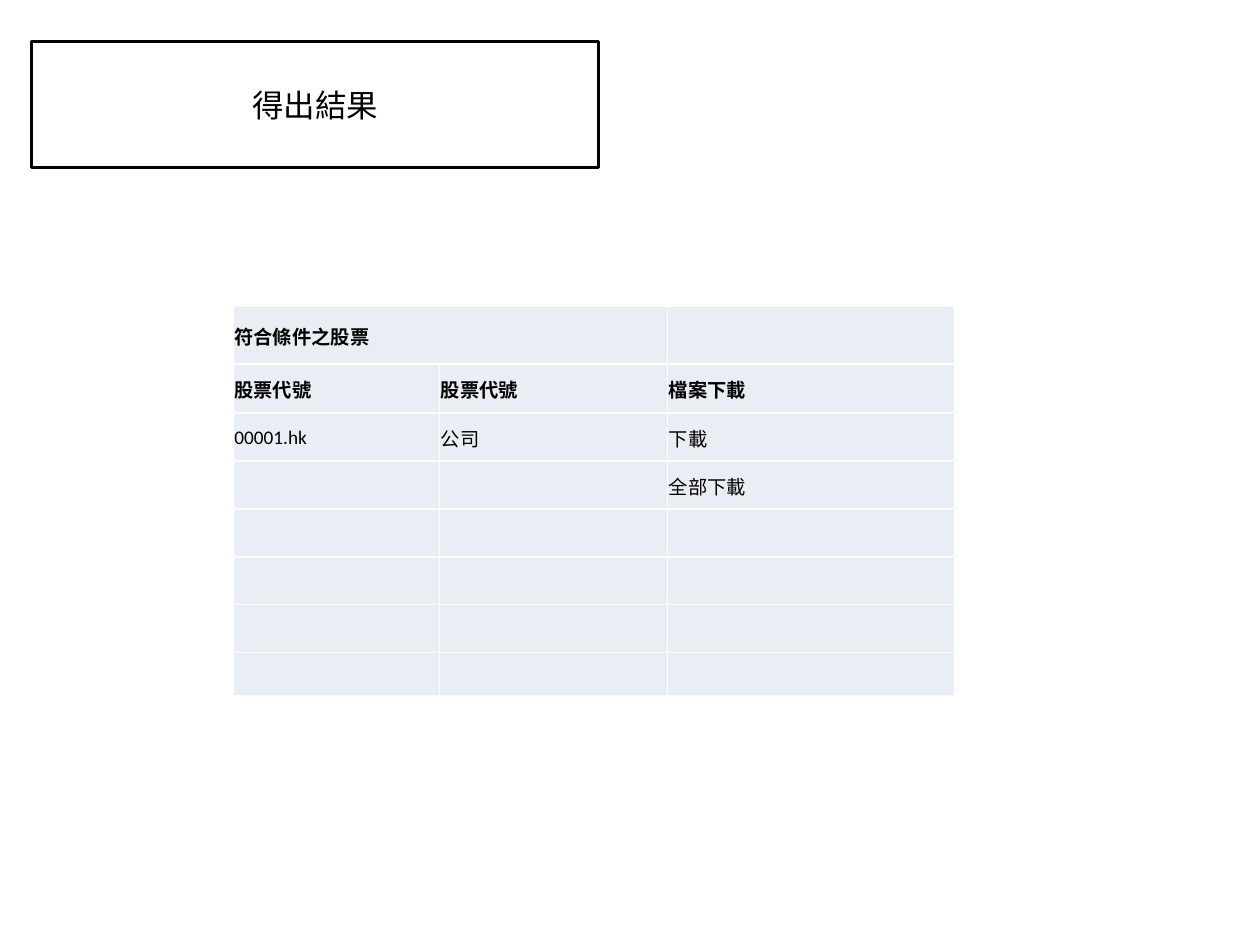
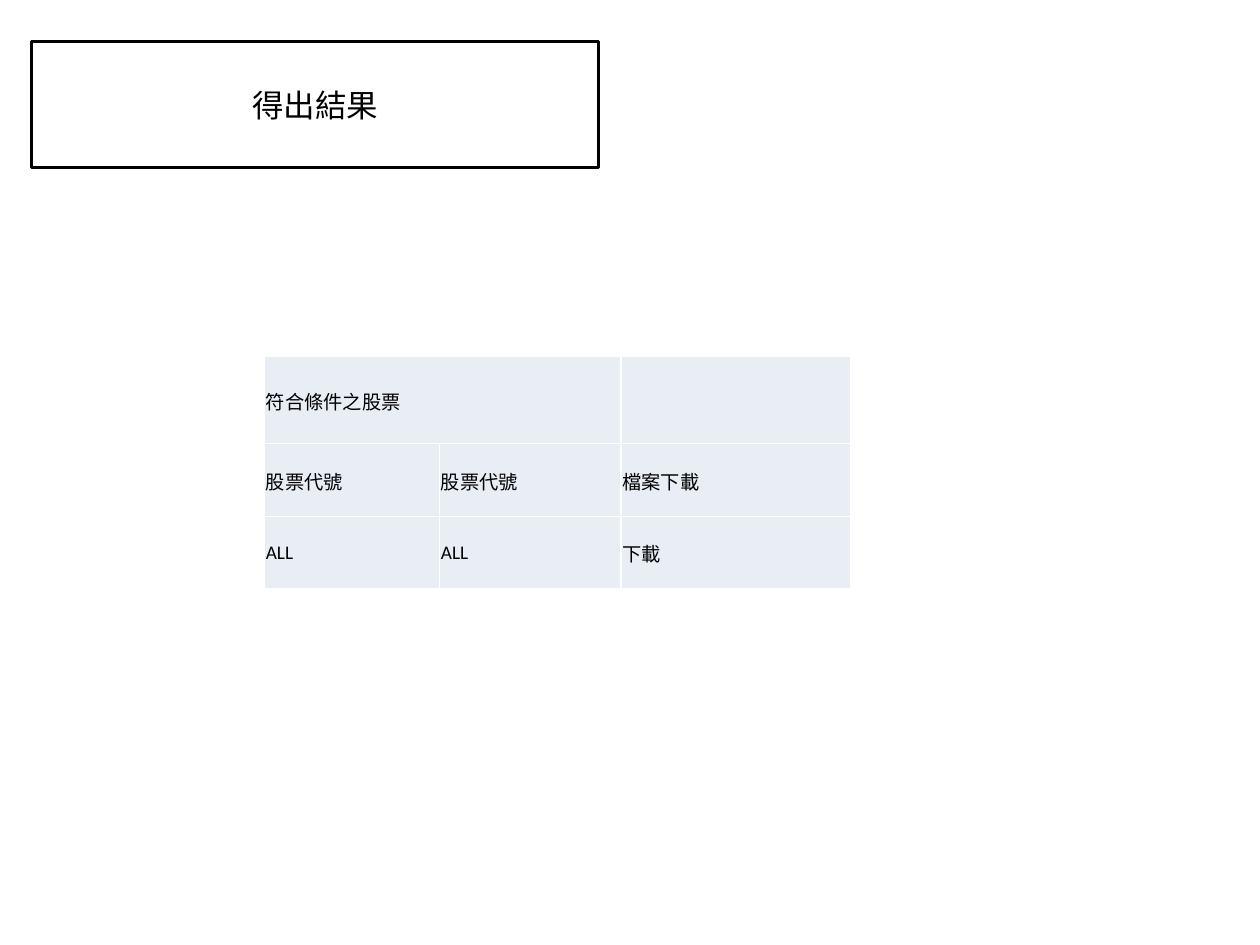
from lxml import etree
from pptx import Presentation
from pptx.dml.color import RGBColor
from pptx.enum.text import MSO_ANCHOR, PP_ALIGN
from pptx.oxml.ns import qn
from pptx.util import Inches, Pt

# Content
TITLE = "得出結果"
TABLE_HEADING = ["符合條件之股票", "", ""]
COLUMN_HEADINGS = ["股票代號", "股票代號", "檔案下載"]
RESULTS = [
    {
        "rows": [
            TABLE_HEADING,
            COLUMN_HEADINGS,
            ["00001.hk", "公司", "下載"],
            ["", "", "全部下載"],
            *[["", "", ""]] * 4,
        ],
        "bold_rows": 2,
        "corner": (1.85, 2.43),
        "widths": [1.64, 1.81, 2.28],
        "heights": [0.46, 0.39] + [0.38] * 5 + [0.34],
    },
    {
        "rows": [TABLE_HEADING, COLUMN_HEADINGS, ["ALL", "ALL", "下載"]],
        "bold_rows": 0,
        "corner": (2.1, 2.83),
        "widths": [1.39, 1.44, 1.82],
        "heights": [0.69, 0.58, 0.57],
    },
]

# Shared style
FONT = "Calibri"
BLACK = RGBColor(0x00, 0x00, 0x00)
WHITE = RGBColor(0xFF, 0xFF, 0xFF)
CELL_BLUE = RGBColor(0xE9, 0xED, 0xF4)
TITLE_BOX = (0.25, 0.33, 4.5, 1)
CELL_MARGIN = Inches(0.01)
TITLE_ONLY = 5


def style_text(frame, size, bold=False):
    for paragraph in frame.paragraphs:
        for run in paragraph.runs:
            run.font.name = FONT
            run.font.size = Pt(size)
            run.font.bold = bold
            run.font.color.rgb = BLACK


def add_title(slide):
    title = slide.shapes.title
    title.left, title.top, title.width, title.height = map(Inches, TITLE_BOX)
    title.line.color.rgb = BLACK
    title.line.width = Pt(2)
    frame = title.text_frame
    frame.text = TITLE
    frame.vertical_anchor = MSO_ANCHOR.MIDDLE
    frame.paragraphs[0].alignment = PP_ALIGN.CENTER
    style_text(frame, 18)


def add_borders(cell):
    # Borders must come before the fill in the cell properties
    properties = cell._tc.get_or_add_tcPr()
    for position, side in enumerate(("lnL", "lnR", "lnT", "lnB")):
        border = etree.Element(qn(f"a:{side}"), w=str(Pt(1)))
        fill = etree.SubElement(border, qn("a:solidFill"))
        etree.SubElement(fill, qn("a:srgbClr"), val=str(WHITE))
        properties.insert(position, border)


def format_cell(cell, text, bold):
    cell.text_frame.text = text
    cell.vertical_anchor = MSO_ANCHOR.MIDDLE
    cell.margin_left = cell.margin_right = cell.margin_top = CELL_MARGIN
    cell.margin_bottom = 0
    cell.fill.solid()
    cell.fill.fore_color.rgb = CELL_BLUE
    add_borders(cell)
    style_text(cell.text_frame, 11, bold)


def add_result_table(slide, result):
    rows, widths, heights = result["rows"], result["widths"], result["heights"]
    left, top = result["corner"]
    bounds = map(Inches, (left, top, sum(widths), sum(heights)))
    table = slide.shapes.add_table(len(rows), len(widths), *bounds).table
    for column, width in zip(table.columns, widths):
        column.width = Inches(width)
    for row, height in zip(table.rows, heights):
        row.height = Inches(height)
    for r, texts in enumerate(rows):
        for c, text in enumerate(texts):
            format_cell(table.cell(r, c), text, r < result["bold_rows"])
    # The table heading spans the first two columns
    table.cell(0, 0).merge(table.cell(0, 1))


def main():
    deck = Presentation()
    deck.slide_width, deck.slide_height = Inches(10), Inches(7.5)
    for result in RESULTS:
        slide = deck.slides.add_slide(deck.slide_layouts[TITLE_ONLY])
        add_title(slide)
        add_result_table(slide, result)
    deck.save("out.pptx")


if __name__ == "__main__":
    main()
